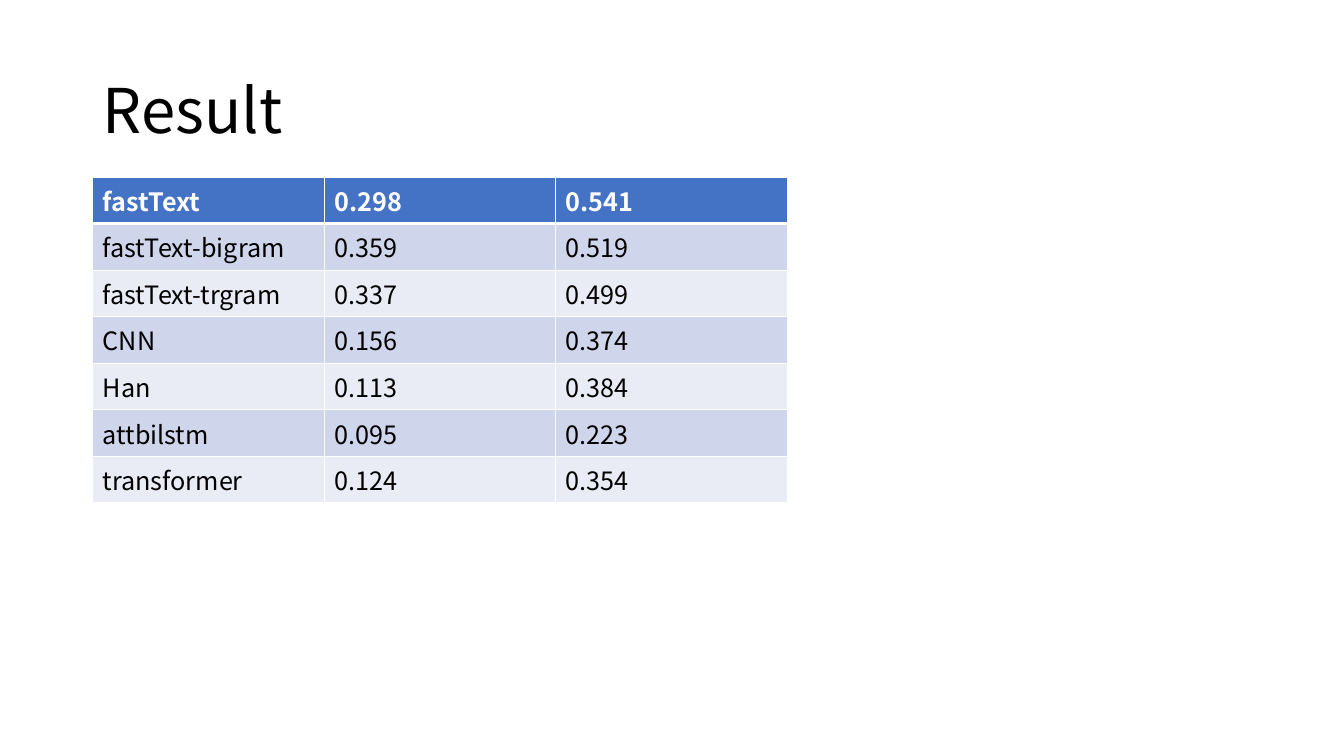
from lxml import etree
from pptx import Presentation
from pptx.dml.color import RGBColor
from pptx.enum.text import MSO_ANCHOR, MSO_AUTO_SIZE, PP_ALIGN
from pptx.oxml.ns import qn
from pptx.util import Pt

MIDDLE = MSO_ANCHOR.MIDDLE
NO_AUTOFIT = MSO_AUTO_SIZE.NONE
LEFT = PP_ALIGN.LEFT

FONT = "Noto Sans CJK SC"
BLACK = RGBColor(0x00, 0x00, 0x00)
WHITE = RGBColor(0xFF, 0xFF, 0xFF)
HEADER_BLUE = RGBColor(0x44, 0x72, 0xC4)
BANDS = [RGBColor(0xE9, 0xEB, 0xF5), RGBColor(0xCF, 0xD5, 0xEA)]

SCORES = [
    ("fastText", "0.298", "0.541"),
    ("fastText-bigram", "0.359", "0.519"),
    ("fastText-trgram", "0.337", "0.499"),
    ("CNN", "0.156", "0.374"),
    ("Han", "0.113", "0.384"),
    ("attbilstm", "0.095", "0.223"),
    ("transformer", "0.124", "0.354"),
]
MARGIN_LEFT = Pt(66.24)
COLUMN_WIDTH = Pt(165.4)
ROW_HEIGHT = Pt(29.2)


def set_format(target, values):
    for key, value in values.items():
        setattr(target, key, value)


def add_border(cell, side, width):
    line = etree.SubElement(cell._tc.get_or_add_tcPr(), qn(f"a:ln{side}"), w=str(Pt(width)))
    fill = etree.SubElement(line, qn("a:solidFill"))
    etree.SubElement(fill, qn("a:srgbClr"), val=str(WHITE))


prs = Presentation()
set_format(prs, {"slide_width": Pt(960), "slide_height": Pt(540)})
slide = prs.slides.add_slide(prs.slide_layouts[5])

title = slide.shapes.title
set_format(title, {"left": MARGIN_LEFT, "top": Pt(28.75), "width": Pt(828), "height": Pt(104.4)})
title.text_frame.text = "Result"
set_format(title.text_frame, {"vertical_anchor": MIDDLE, "auto_size": NO_AUTOFIT, "word_wrap": True})
heading = title.text_frame.paragraphs[0]
set_format(heading, {"alignment": LEFT, "line_spacing": 0.9})
set_format(heading.font, {"name": FONT, "size": Pt(44)})
heading.font.color.rgb = BLACK

row_count, column_count = len(SCORES), len(SCORES[0])
results = slide.shapes.add_table(
    row_count, column_count, MARGIN_LEFT, Pt(126.36),
    COLUMN_WIDTH * column_count, ROW_HEIGHT * row_count,
).table
for column in results.columns:
    column.width = COLUMN_WIDTH
for row in results.rows:
    row.height = ROW_HEIGHT

for row_index, scores in enumerate(SCORES):
    is_header = row_index == 0
    border_widths = {
        "L": 1,
        "R": 1,
        "T": 3 if row_index == 1 else 1,
        "B": 3 if is_header else 1,
    }
    for column_index, score in enumerate(scores):
        cell = results.cell(row_index, column_index)
        cell.text = score
        for side, width in border_widths.items():
            add_border(cell, side, width)
        cell.fill.solid()
        cell.fill.fore_color.rgb = HEADER_BLUE if is_header else BANDS[row_index % 2]
        font = cell.text_frame.paragraphs[0].font
        set_format(font, {"name": FONT, "size": Pt(18), "bold": is_header})
        font.color.rgb = WHITE if is_header else BLACK

prs.save("out.pptx")
